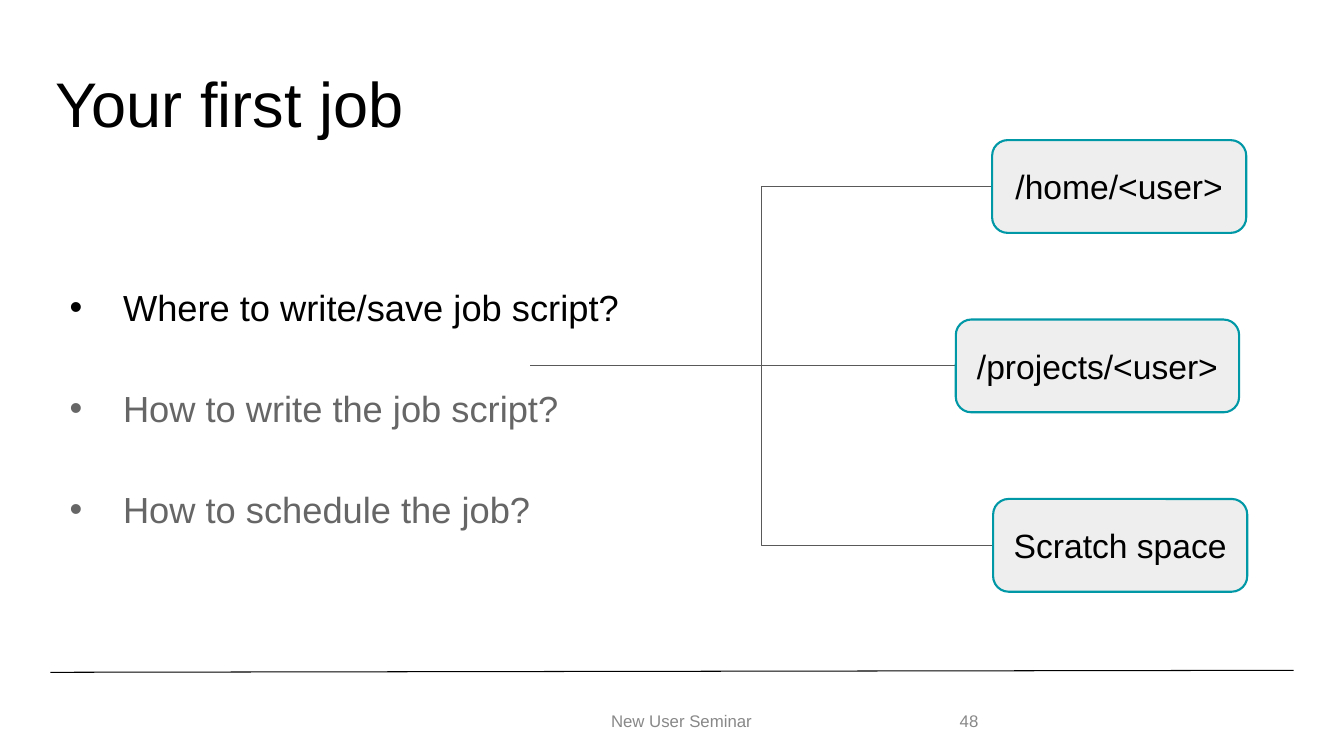
from dataclasses import dataclass

from lxml import etree
from pptx import Presentation
from pptx.dml.color import RGBColor
from pptx.enum import shapes, text
from pptx.oxml import ns
from pptx.util import Inches, Pt


@dataclass(frozen=True)
class Theme:
    font: str = "Arial"
    ink: str = "000000"
    muted: str = "666666"
    footer: str = "888888"
    branch: str = "595959"
    card: str = "EEEEEE"
    accent: str = "0097A7"
    title_size: float = 45
    list_size: float = 25.9
    card_size: float = 24
    footer_size: float = 12


THEME = Theme()


def add_span(para, words, size, color):
    span = para.add_run()
    span.text = words
    span.font.name = THEME.font
    span.font.size = Pt(size)
    span.font.color.rgb = RGBColor.from_string(color)


def place(item, left, top, width, height):
    item.left, item.top = Inches(left), Inches(top)
    item.width, item.height = Inches(width), Inches(height)


def add_line(page, kind, start, end, color):
    points = [Inches(value) for value in (*start, *end)]
    line = page.shapes.add_connector(kind, *points)
    line.line.color.rgb = RGBColor.from_string(color)
    line.line.width = Pt(0.75)
    etree.SubElement(line._element.spPr, ns.qn("a:effectLst"))
    return line


def add_bullet(para, color):
    props = para._p.get_or_add_pPr()
    props.set("marL", str(Inches(0.67)))
    props.set("indent", str(Inches(-0.53)))
    tint = etree.SubElement(props, ns.qn("a:buClr"))
    etree.SubElement(tint, ns.qn("a:srgbClr")).set("val", color)
    etree.SubElement(props, ns.qn("a:buFont")).set("typeface", THEME.font)
    etree.SubElement(props, ns.qn("a:buChar")).set("char", "•")


def add_title(page, words, left, top, width, height):
    title = page.shapes.title
    place(title, left, top, width, height)
    frame = title.text_frame
    frame.auto_size = text.MSO_AUTO_SIZE.NONE
    frame.vertical_anchor = text.MSO_ANCHOR.MIDDLE
    para = frame.paragraphs[0]
    para.alignment = text.PP_ALIGN.LEFT
    para.line_spacing = 0.9
    add_span(para, words, THEME.title_size, THEME.ink)


def add_questions(page, questions, left, top, width, height):
    body = page.placeholders[1]
    place(body, left, top, width, height)
    frame = body.text_frame
    frame.auto_size = text.MSO_AUTO_SIZE.NONE
    frame.vertical_anchor = text.MSO_ANCHOR.TOP
    for index, (words, color) in enumerate(questions):
        para = frame.add_paragraph() if index else frame.paragraphs[0]
        add_bullet(para, color)
        para.line_spacing = 2.0
        para.space_before = Pt(10 if index else 0)
        add_span(para, words, THEME.list_size, color)


def add_card(page, words, left, top, width, height):
    card = page.shapes.add_shape(
        shapes.MSO_SHAPE.ROUNDED_RECTANGLE,
        Inches(left), Inches(top), Inches(width), Inches(height))
    card.shadow.inherit = False
    card.fill.solid()
    card.fill.fore_color.rgb = RGBColor.from_string(THEME.card)
    card.line.color.rgb = RGBColor.from_string(THEME.accent)
    card.line.width = Pt(1.5)
    frame = card.text_frame
    frame.word_wrap = True
    frame.vertical_anchor = text.MSO_ANCHOR.MIDDLE
    frame.margin_left = frame.margin_right = Inches(0.13)
    frame.margin_top = frame.margin_bottom = Inches(0.13)
    para = frame.paragraphs[0]
    para.alignment = text.PP_ALIGN.CENTER
    add_span(para, words, THEME.card_size, THEME.ink)
    return card


def add_locations(page, locations, left, top, pitch, height):
    """Branches run from the left edge of the box to one card per row."""
    root = (left, top + pitch + height / 2)
    for row, (words, offset, width) in enumerate(locations):
        card_top = top + row * pitch
        end = (left + offset, card_top + height / 2)
        straight = end[1] == root[1]
        kind = shapes.MSO_CONNECTOR.STRAIGHT if straight else shapes.MSO_CONNECTOR.ELBOW
        branch = add_line(page, kind, root, end, THEME.branch)
        card = add_card(page, words, left + offset, card_top, width, height)
        if straight:
            branch.end_connect(card, 1)


def add_footer(page, left, top, height):
    # Rule above the footer
    add_line(page, shapes.MSO_CONNECTOR.STRAIGHT,
             (left, top - 0.28), (left + 12.33, top - 0.3), THEME.ink)
    # Seminar name and page number
    parts = [
        ("New User Seminar", 4.01, 4.5, text.PP_ALIGN.CENTER),
        ("48", 8.92, 0.75, text.PP_ALIGN.LEFT),
    ]
    for words, offset, width, align in parts:
        box = page.shapes.add_textbox(
            Inches(left + offset), Inches(top), Inches(width), Inches(height))
        frame = box.text_frame
        frame.word_wrap = True
        frame.vertical_anchor = text.MSO_ANCHOR.MIDDLE
        para = frame.paragraphs[0]
        para.alignment = align
        add_span(para, words, THEME.footer_size, THEME.footer)


def main():
    deck = Presentation()
    deck.slide_width, deck.slide_height = Inches(13.33), Inches(7.5)
    page = deck.slides.add_slide(deck.slide_layouts[1])

    add_footer(page, 0.5, 6.95, 0.4)
    add_title(page, "Your first job", 0.45, 0.65, 12.42, 0.83)
    add_questions(page, [
        ("Where to write/save job script?", THEME.ink),
        ("How to write the job script?", THEME.muted),
        ("How to schedule the job?", THEME.muted),
    ], 0.45, 2.35, 5.91, 3.89)
    add_locations(page, [
        ("/home/<user>", 4.58, 2.52),
        ("/projects/<user>", 4.22, 2.81),
        ("Scratch space", 4.59, 2.52),
    ], 5.26, 1.39, 1.78, 0.92)

    deck.save("out.pptx")


if __name__ == "__main__":
    main()
